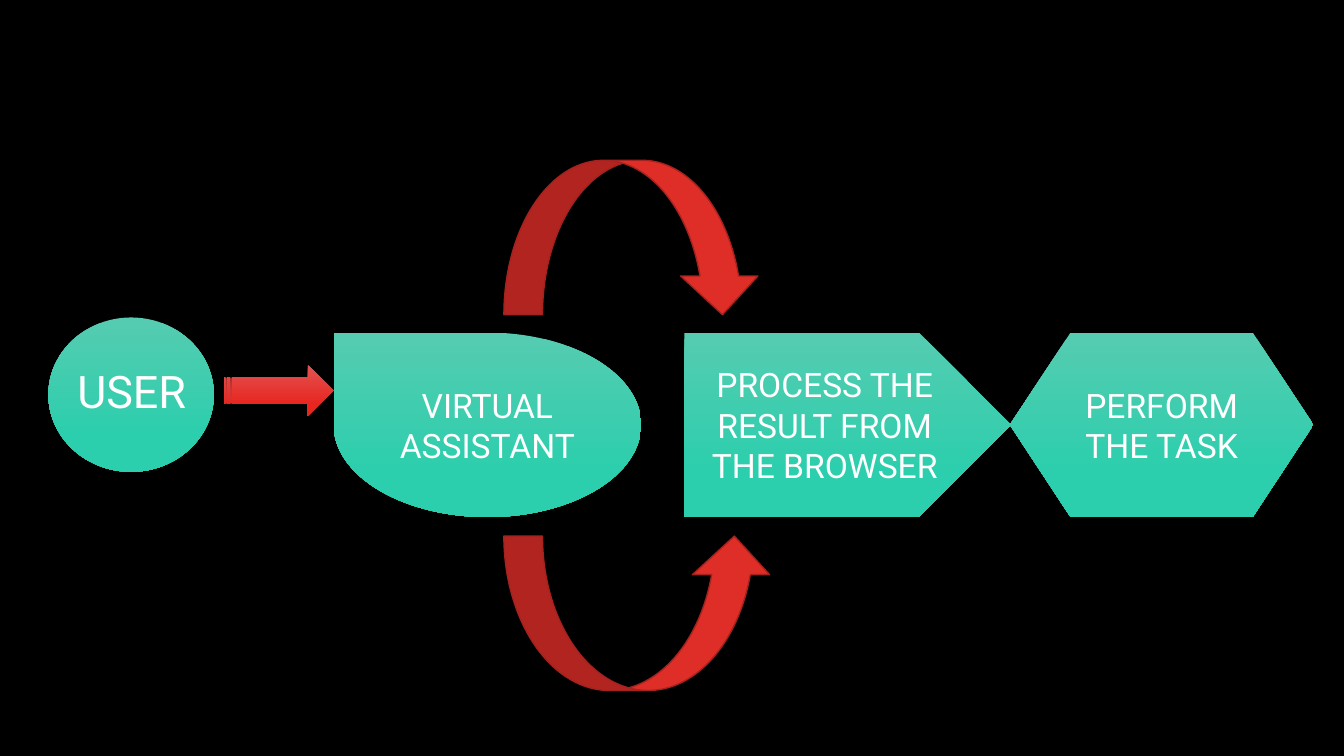
from pptx import Presentation
from pptx.dml.color import RGBColor
from pptx.enum.shapes import MSO_SHAPE as SHAPE
from pptx.enum.text import MSO_ANCHOR as ANCHOR, PP_ALIGN as ALIGN
from pptx.util import Cm, Pt

# Content: lengths in cm
GREEN = ("55CCB1", "2BCEAD")
RED = ("E25452", "E8251F")
STEP_TOP, STEP_HEIGHT = 8.38, 4.65
STEPS = [  # shape, left, width, text, mirrored
    (SHAPE.TEAR, 8.41, 7.75, "VIRTUAL ASSISTANT", True),
    (SHAPE.PENTAGON, 17.25, 8.23, "PROCESS THE RESULT FROM THE BROWSER", False),
    (SHAPE.FLOWCHART_PREPARATION, 25.45, 7.65, "PERFORM THE TASK", False),
]
LOOP_LEFT, LOOP_HEIGHT = 12.7, 3.89
LOOPS = [  # shape, top, width
    (SHAPE.CURVED_UP_ARROW, 13.51, 6.78),
    (SHAPE.CURVED_DOWN_ARROW, 4.04, 6.48),
]


def color(value):
    return RGBColor.from_string(value)


def add_shape(kind, left, top, width, height):
    sp = slide.shapes.add_shape(kind, Cm(left), Cm(top), Cm(width), Cm(height))
    sp.shadow.inherit = False
    return sp


def shade(sp, colors):
    """Vertical gradient without an outline."""
    sp.fill.gradient()
    sp.fill.gradient_angle = 270
    for stop, position, value in zip(sp.fill.gradient_stops, (0, 0.78), colors):
        stop.position = position
        stop.color.rgb = color(value)
    sp.line.fill.background()


def write(tf, text, size=24, align=ALIGN.CENTER, anchor=ANCHOR.MIDDLE):
    tf.word_wrap = True
    tf.vertical_anchor = anchor
    p = tf.paragraphs[0]
    p.alignment = align
    r = p.add_run()
    r.text = text
    r.font.size = Pt(size)
    r.font.name = "Roboto"
    r.font.color.rgb = color("FFFFFF")


prs = Presentation()
prs.slide_width, prs.slide_height = Cm(33.87), Cm(19.05)
slide = prs.slides.add_slide(prs.slide_layouts[6])
slide.background.fill.solid()
slide.background.fill.fore_color.rgb = color("000000")

# User and the arrow to the assistant
shade(add_shape(SHAPE.OVAL, 1.22, 8, 4.17, 3.89), GREEN)
label = slide.shapes.add_textbox(Cm(1.7), Cm(9.04), Cm(3.38), Cm(1.63))
write(label.text_frame, "USER", size=32, align=ALIGN.LEFT, anchor=ANCHOR.TOP)
shade(add_shape(SHAPE.STRIPED_RIGHT_ARROW, 5.64, 9.19, 2.77, 1.3), RED)

# Process steps
for kind, left, width, text, mirrored in STEPS:
    sp = add_shape(kind, left, STEP_TOP, width, STEP_HEIGHT)
    shade(sp, GREEN)
    if mirrored:
        sp.element.spPr.xfrm.set("flipH", "1")
    write(sp.text_frame, text)

# Curved arrows from assistant to processing
for kind, top, width in LOOPS:
    sp = add_shape(kind, LOOP_LEFT, top, width, LOOP_HEIGHT)
    sp.fill.solid()
    sp.fill.fore_color.rgb = color("DF2E28")
    sp.line.color.rgb = color("A5221E")
    sp.line.width = Pt(1)

prs.save("out.pptx")
